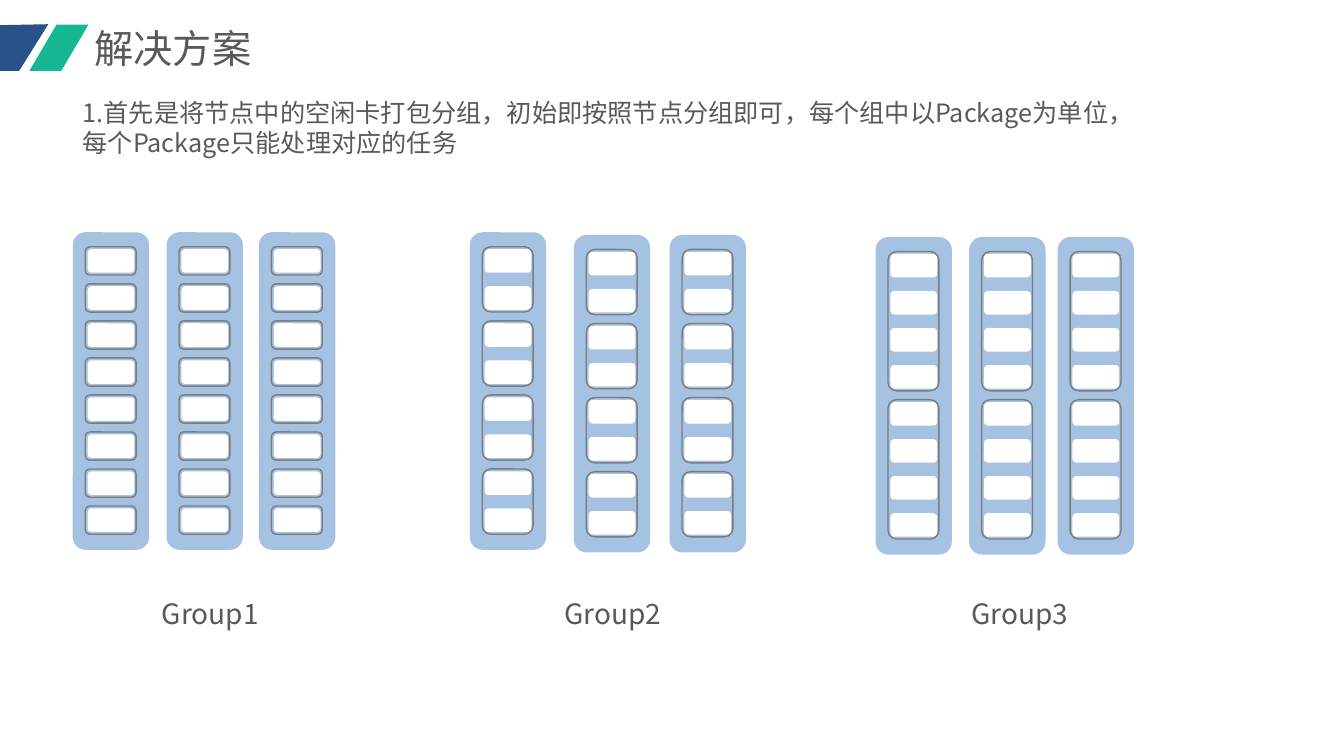
from pptx import Presentation
from pptx.dml.color import RGBColor
from pptx.enum.shapes import MSO_SHAPE
from pptx.oxml.ns import qn
from pptx.util import Pt

COLORS = {"green": "18B794", "navy": "29528A", "text": "595959",
          "node": "A5C2E2", "card": "FFFFFF", "package": "7C7C7C"}
FONT = "Noto Sans CJK SC"

deck = Presentation()
deck.slide_width, deck.slide_height = Pt(960), Pt(540)
slide = deck.slides.add_slide(deck.slide_layouts[6])


def add_block(kind, left, top, width, height, fill=None, line=None):
    block = slide.shapes.add_shape(kind, Pt(left), Pt(top), Pt(width), Pt(height))
    block.shadow.inherit = False
    if fill:
        block.fill.solid()
        block.fill.fore_color.rgb = RGBColor.from_string(COLORS[fill])
    else:
        block.fill.background()
    if line:
        block.line.color.rgb = RGBColor.from_string(COLORS[line])
        block.line.width = Pt(1)
    else:
        block.line.fill.background()
    return block


def add_text(words, left, top, width, height, size, wrap=True):
    frame = slide.shapes.add_textbox(Pt(left), Pt(top), Pt(width), Pt(height)).text_frame
    frame.word_wrap = wrap
    frame.text = words
    run = frame.paragraphs[0].runs[0]
    run.font.name = FONT
    run.font.size = Pt(size)
    run.font.color.rgb = RGBColor.from_string(COLORS["text"])
    east_asian = run.font._element.makeelement(qn("a:ea"), {"typeface": FONT})
    run.font._element.append(east_asian)


green_stripe = add_block(MSO_SHAPE.PARALLELOGRAM, 21, 17.6, 42.2, 33, "green")
green_stripe.adjustments[0] = 0.587

outline = slide.shapes.build_freeform(Pt(34.5), Pt(17.3), scale=1.0)
outline.add_line_segments([(Pt(13.7), Pt(50.6)), (0, Pt(50.6)), (0, Pt(18))])
navy_stripe = outline.convert_to_shape()
navy_stripe.shadow.inherit = False
navy_stripe.fill.solid()
navy_stripe.fill.fore_color.rgb = RGBColor.from_string(COLORS["navy"])
navy_stripe.line.fill.background()

add_text("解决方案", 60.5, 13.5, 126.5, 41, 28, wrap=False)
add_text("1.首先是将节点中的空闲卡打包分组，初始即按照节点分组即可，"
         "每个组中以Package为单位，每个Package只能处理对应的任务",
         52, 66, 770, 45.5, 18)

CARDS_PER_NODE = 8
CARD_PITCH = 26.45
PACKAGE_GAP = 6.3

groups = [
    ("Group1", 108.5, 1, [(52, 165.9), (119, 165.9), (185, 165.9)]),
    ("Group2", 396, 2, [(335.6, 165.9), (409.9, 167.8), (478.3, 167.8)]),
    ("Group3", 687, 4, [(625.4, 169.3), (692.3, 169.3), (755.5, 169.3)]),
]

for label, label_left, package_size, nodes in groups:
    add_text(label, label_left, 422.5, 102, 31.5, 20)
    for left, top in nodes:
        add_block(MSO_SHAPE.ROUNDED_RECTANGLE, left, top, 54.5, 226.8, "node")
        for card in range(CARDS_PER_NODE):
            add_block(MSO_SHAPE.ROUNDED_RECTANGLE, left + 10.6,
                      top + 12.1 + card * CARD_PITCH, 33.4, 16.8, "card")
        for first_card in range(0, CARDS_PER_NODE, package_size):
            add_block(MSO_SHAPE.ROUNDED_RECTANGLE, left + 8.9,
                      top + 10.4 + first_card * CARD_PITCH, 36.3,
                      package_size * CARD_PITCH - PACKAGE_GAP, line="package")

deck.save("out.pptx")
